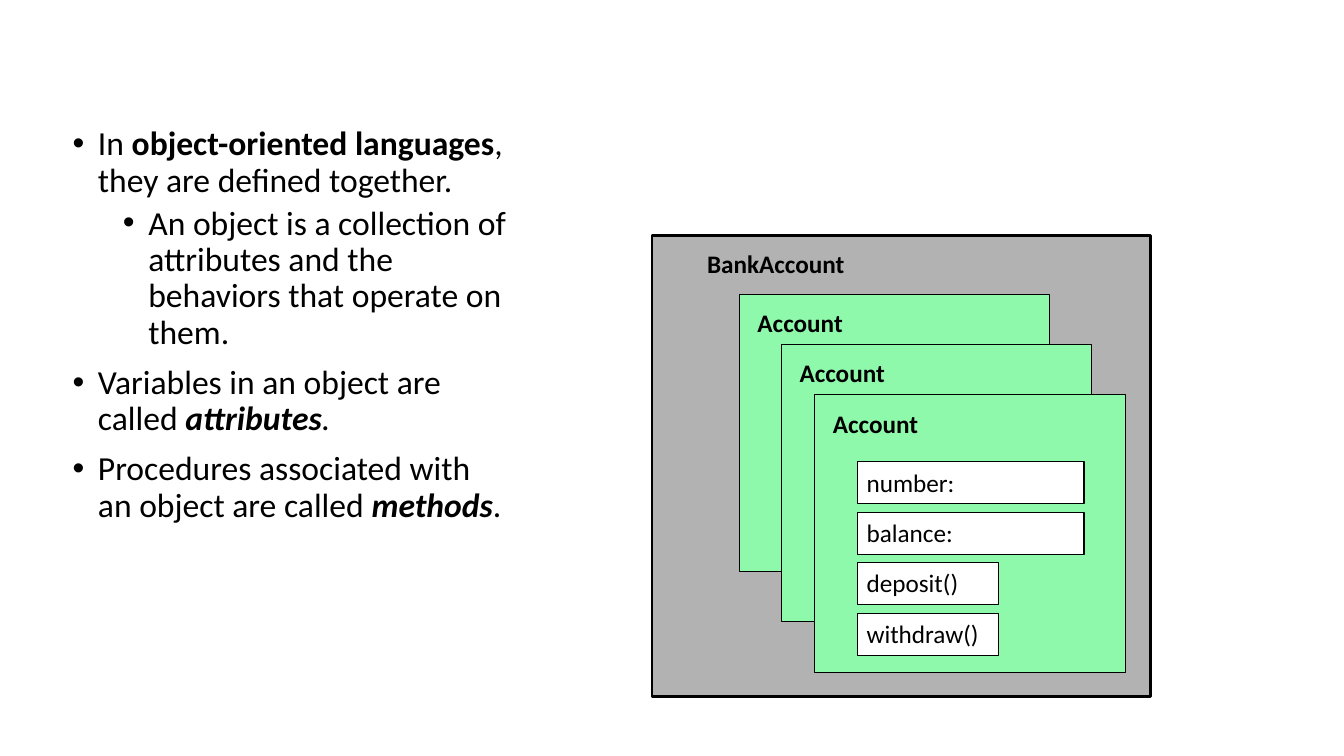
from pptx import Presentation
from pptx.dml.color import RGBColor
from pptx.enum.shapes import MSO_SHAPE
from pptx.oxml.ns import qn
from pptx.util import Cm, Pt
from lxml.etree import SubElement

BLACK = RGBColor(0x00, 0x00, 0x00)
WHITE = RGBColor(0xFF, 0xFF, 0xFF)
GRAY = RGBColor(0xB2, 0xB2, 0xB2)
GREEN = RGBColor(0x8F, 0xF9, 0xAB)

prs = Presentation()
prs.slide_width, prs.slide_height = Cm(33.87), Cm(19.05)
s = prs.slides.add_slide(prs.slide_layouts[6])


def add_text(p, text, size=18, bold=False, italic=False):
    r = p.add_run()
    r.text = text
    r.font.name = "Calibri"
    r.font.size = Pt(size)
    r.font.bold = bold
    r.font.italic = italic
    r.font.color.rgb = BLACK


def add_box(x, y, w, h, fill, label, label_x, label_y, label_w, bold=True, line=0.75):
    sp = s.shapes.add_shape(MSO_SHAPE.RECTANGLE, Cm(x), Cm(y), Cm(w), Cm(h))
    sp.shadow.inherit = False
    sp.fill.solid()
    sp.fill.fore_color.rgb = fill
    sp.line.color.rgb = BLACK
    sp.line.width = Pt(line)
    tb = s.shapes.add_textbox(Cm(label_x), Cm(label_y), Cm(label_w), Cm(1.02))
    tb.text_frame.word_wrap = True
    add_text(tb.text_frame.paragraphs[0], label, bold=bold)


# Bullet text: level, then (text, bold, italic) runs
bullets = [
    (0, [("In ", False, False), ("object-oriented languages", True, False),
         (", they are defined together.", False, False)]),
    (1, [("An object is a collection of attributes and the behaviors "
          "that operate on them.", False, False)]),
    (0, [("Variables in an object are called ", False, False),
         ("attributes", True, True), (".", False, True)]),
    (0, [("Procedures associated with an object are called ", False, False),
         ("methods", True, True), (".", False, False)]),
]
tf = s.shapes.add_textbox(Cm(1.58), Cm(3.07), Cm(11.43), Cm(11.63)).text_frame
tf.word_wrap = True
for i, (level, runs) in enumerate(bullets):
    p = tf.paragraphs[0] if i == 0 else tf.add_paragraph()
    p.level = level
    pPr = p._p.get_or_add_pPr()
    pPr.set("marL", str(Cm(0.64 + 1.27 * level)))
    pPr.set("indent", str(Cm(-0.64)))
    SubElement(pPr, qn("a:buFont")).set("typeface", "Arial")
    SubElement(pPr, qn("a:buChar")).set("char", "•")
    p.line_spacing = 0.9
    if i > 0:
        p.space_before = Pt(5 if level else 10)
    for text, bold, italic in runs:
        add_text(p, text, size=24, bold=bold, italic=italic)

# Class frame
add_box(16.43, 5.93, 12.57, 11.63, GRAY, "BankAccount", 17.57, 6.14, 7.41, line=2)

# Stacked account objects
for i, x in enumerate((18.63, 19.69, 20.53)):
    y = 7.41 + 1.27 * i
    add_box(x, y, 7.83, 6.99, GREEN, "Account", x + 0.21, y + 0.21, 7.41)

# Attributes and methods of the front account
members = [("number:", 5.72), ("balance:", 5.72), ("deposit()", 3.56), ("withdraw()", 3.56)]
for i, (name, w) in enumerate(members):
    y = 11.64 + 1.27 * i
    add_box(21.6, y, w, 1.06, WHITE, name, 21.59, y, w, bold=False)

prs.save("out.pptx")
